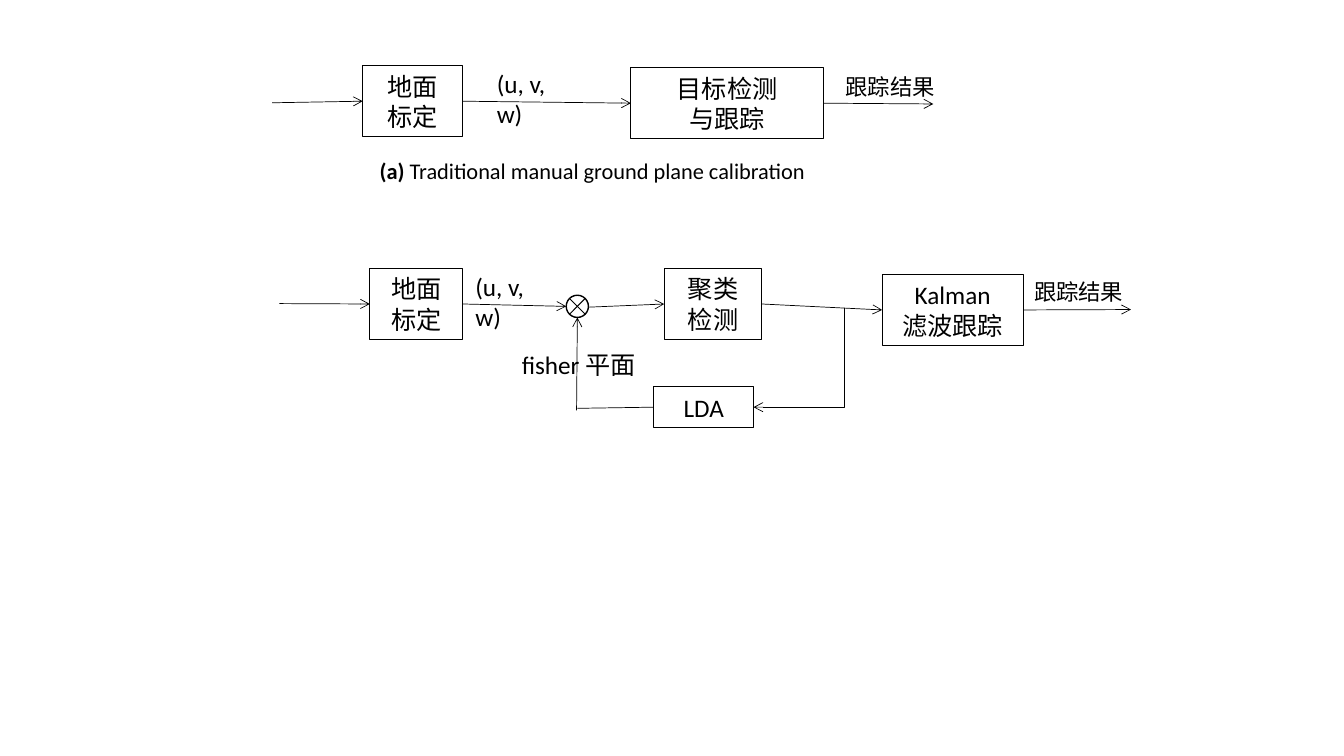
from lxml.etree import SubElement
from pptx import Presentation
from pptx.dml.color import RGBColor
from pptx.enum.shapes import MSO_CONNECTOR, MSO_SHAPE
from pptx.enum.text import MSO_ANCHOR, MSO_AUTO_SIZE, PP_ALIGN
from pptx.oxml.ns import qn
from pptx.util import Cm, Pt

INK = "000000"
FONT = {"name": "Calibri", "bold": False}
FRAME = {"word_wrap": True, "auto_size": MSO_AUTO_SIZE.SHAPE_TO_FIT_TEXT}
LEFT, RIGHT = 1, 3  # connection sites of a rectangle


def color(code):
    return RGBColor.from_string(code)


def style(item, looks):
    for key, value in looks.items():
        setattr(item, key, value)


def stroke(line, width):
    line.color.rgb = color(INK)
    line.width = Pt(width)


def write(shape, lines, size, align, anchor):
    """Each line is a list of (text, bold) runs."""
    frame = shape.text_frame
    style(frame, {**FRAME, "vertical_anchor": anchor})
    for index, runs in enumerate(lines):
        para = frame.add_paragraph() if index else frame.paragraphs[0]
        para.alignment = align
        for text, bold in runs:
            run = para.add_run()
            run.text = text
            style(run.font, {**FONT, "size": Pt(size), "bold": bold})
            run.font.color.rgb = color(INK)


class Region:
    """Places parts, in centimetres, relative to a corner of the slide."""

    def __init__(self, slide, left, top):
        self.shapes = slide.shapes
        self.left, self.top = left, top

    def spot(self, x, y):
        return Cm(self.left + x), Cm(self.top + y)

    def form(self, kind, x, y, wide, high, width):
        shape = self.shapes.add_shape(kind, *self.spot(x, y), Cm(wide), Cm(high))
        shape.shadow.inherit = False
        shape.fill.background()
        stroke(shape.line, width)
        return shape

    def block(self, lines, x, y, wide, high=1.8):
        shape = self.form(MSO_SHAPE.RECTANGLE, x, y, wide, high, 0.75)
        write(shape, [[(text, False)] for text in lines], 18,
              PP_ALIGN.CENTER, MSO_ANCHOR.MIDDLE)
        return shape

    def label(self, runs, x, y, wide, size=18):
        high = 1.02 if size == 18 else 0.94
        shape = self.shapes.add_textbox(*self.spot(x, y), Cm(wide), Cm(high))
        write(shape, [runs], size, PP_ALIGN.LEFT, MSO_ANCHOR.TOP)

    def link(self, start, end, arrow=True, width=0.5, kind=MSO_CONNECTOR.STRAIGHT):
        """An end is either a point (x, y) or a block, joined at its side."""
        points = [self.spot(*p) if isinstance(p, tuple) else self.spot(0, 0)
                  for p in (start, end)]
        wire = self.shapes.add_connector(kind, *points[0], *points[1])
        if not isinstance(start, tuple):
            wire.begin_connect(start, RIGHT)
        if not isinstance(end, tuple):
            wire.end_connect(end, LEFT)
        stroke(wire.line, width)
        if arrow:
            SubElement(wire.line._get_or_add_ln(), qn("a:tailEnd"), type="arrow")
        SubElement(wire._element.spPr, qn("a:effectLst"))
        return wire

    def bend(self, start, end):
        """Goes down from start, then left to end: a quarter-turned elbow."""
        (x1, y1), (x2, y2) = start, end
        wide, high = y2 - y1, x1 - x2
        x, y = (x1 + x2 - wide) / 2, (y1 + y2 - high) / 2
        wire = self.link((x, y), (x + wide, y + high), kind=MSO_CONNECTOR.ELBOW)
        shape = wire._element.spPr
        shape.find(qn("a:prstGeom")).set("prst", "bentConnector2")
        shape.find(qn("a:xfrm")).set("rot", "5400000")


def manual(slide, left, top):
    area = Region(slide, left, top)
    # Blocks
    ground = area.block(["地面", "标定"], 2.28, 0.05, 2.51)
    track = area.block(["目标检测", "与跟踪"], 9.04, 0.1, 4.85)
    # Arrows
    area.link((0, 0.99), ground)
    area.link(ground, track)
    area.link(track, (16.66, 1.02))
    # Labels and caption
    area.label([("(u, v, w)", False)], 5.41, 0, 2.49)
    area.label([("跟踪结果", False)], 14.2, 0.13, 3.38, 16)
    area.label([("(a) ", True), ("Traditional manual ground plane calibration", False)],
               2.46, 2.24, 11.86, 16)


def mixer(area, x, y, side, inset):
    area.form(MSO_SHAPE.OVAL, x, y, side, side, 1)
    low, high = inset, side - inset
    for a, b in ((low, high), (high, low)):
        area.link((x + a, y + low), (x + b, y + high), False, 0.75)


def feedback(slide, left, top):
    area = Region(slide, left, top)
    # Blocks
    ground = area.block(["地面", "标定"], 2.28, 0.05, 2.34)
    cluster = area.block(["聚类", "检测"], 9.7, 0.05, 2.46)
    kalman = area.block(["Kalman", "滤波跟踪"], 15.19, 0.2, 3.56)
    lda = area.block(["LDA"], 9.44, 3.04, 2.51, 1.02)
    mixer(area, 7.23, 0.73, 0.56, 0.08)
    # Forward path
    area.link((0, 0.94), ground)
    area.link(ground, (7.23, 1.01))
    area.link((7.79, 1.03), cluster)
    area.link(cluster, kalman)
    area.link(kalman, (21.46, 1.09))
    # Loop back through LDA
    area.bend((14.25, 1.04), (11.95, 3.55))
    area.link((7.51, 3.58), lda, False)
    area.link((7.49, 3.63), (7.51, 1.29))
    # Labels
    area.label([("(u, v, w)", False)], 4.69, 0, 2.49)
    area.label([("跟踪结果", False)], 18.77, 0.17, 3.23, 16)
    area.label([("fisher 平面", False)], 5.86, 1.98, 4.83)


def main():
    deck = Presentation()
    style(deck, {"slide_width": Cm(33.87), "slide_height": Cm(19.05)})
    slide = deck.slides.add_slide(deck.slide_layouts[6])
    manual(slide, 6.86, 1.6)
    feedback(slide, 7.04, 6.71)
    deck.save("out.pptx")


if __name__ == "__main__":
    main()
